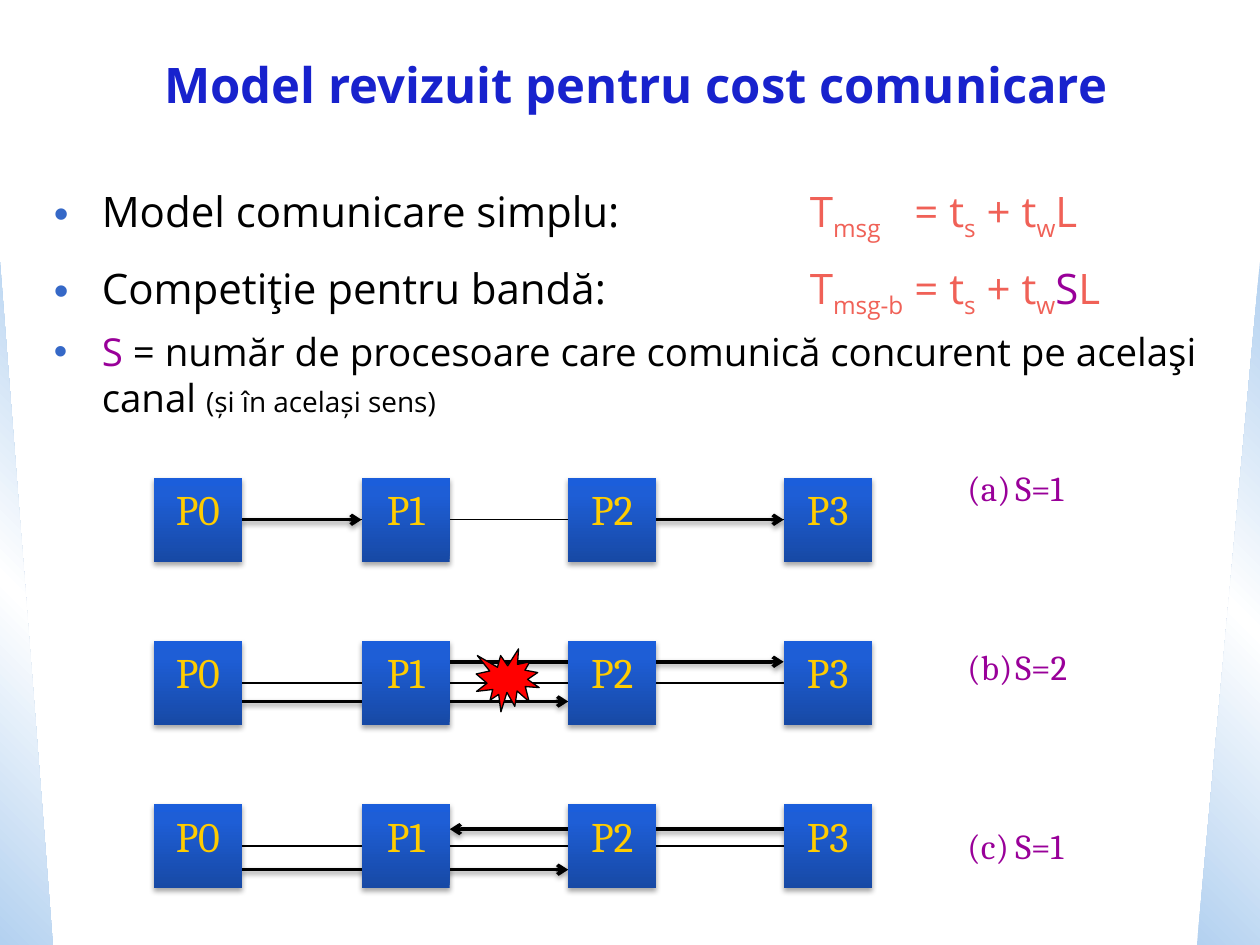
"""Build the slide on the revised communication cost model."""
from dataclasses import dataclass
from typing import Any

from pptx import Presentation
from pptx.dml.color import RGBColor
from pptx.enum.shapes import MSO_CONNECTOR, MSO_SHAPE
from pptx.enum.text import MSO_ANCHOR, PP_ALIGN
from pptx.oxml import parse_xml
from pptx.oxml.ns import nsdecls, qn
from pptx.util import Inches, Pt

COLORS = {
    "title": "1822CD", "black": "000000", "formula": "F06157", "share": "990099",
    "bullet": "3568C7", "node_text": "FFCC00", "burst": "FF0000",
}
NODE_STOPS = ((0, "1749A5"), (80, "1E5ED6"), (100, "1B5EDB"))
EDGE_STOPS = ((0, "B3D1F0"), (50, "FFFFFF"), (100, "B3D1F0"))
BODY_FONT, DIAGRAM_FONT = "Open Sans", "Cambria"
COLUMN_LEFTS = (1.22, 2.87, 4.51, 6.22)
NODE_WIDTH, NODE_HEIGHT = 0.7, 0.67
FIRST_ROW, ROW_PITCH, ROW_COUNT = 3.79, 1.295, 3
HANGING = 0.38


@dataclass(frozen=True)
class Piece:
    text: str
    color: str = "black"
    size: float = 24
    subscript: bool = False
    font: str = BODY_FONT
    bold: bool = False


@dataclass(frozen=True)
class Line:
    pieces: tuple[Piece, ...]
    format: dict[str, Any]
    bullet: str = ""
    tabs: tuple[float, ...] = ()


@dataclass(frozen=True)
class Message:
    row: int
    source: int
    target: int
    height_share: float


def formula(*parts: str) -> tuple[Piece, ...]:
    """Alternate normal and subscript pieces in the formula colour."""
    return tuple(Piece(part, "formula", subscript=index % 2 == 1) for index, part in enumerate(parts))


def character_bullet() -> str:
    """Return the markup of a round bullet."""
    return (f'<a:buClr {nsdecls("a")}><a:srgbClr val="{COLORS["bullet"]}"/></a:buClr>'
            f'|<a:buFont {nsdecls("a")} typeface="Arial"/>|<a:buChar {nsdecls("a")} char="•"/>')


LETTER_BULLET = f'<a:buAutoNum {nsdecls("a")} type="alphaLcParenBoth"/>'
TITLE = (Line((Piece("Model revizuit pentru cost comunicare", "title", 28, bold=True),),
              {"alignment": PP_ALIGN.CENTER}),)
BODY = (
    Line((Piece("Model comunicare simplu:\t"), *formula("T", "msg", "\t= t", "s", " + t", "w", "L")),
         {"line_spacing": 1.2}, character_bullet(), (6, 6.83)),
    Line((Piece("Competiţie pentru bandă:\t"), *formula("T", "msg-b", " = t", "s", " + t", "w"),
          Piece("S", "share"), Piece("L", "formula")),
         {"line_spacing": 1.2, "space_before": Pt(4.8)}, character_bullet(), (6,)),
    Line((Piece("S", "share", 22),
          Piece(" = număr de procesoare care comunică concurent pe acelaşi canal ", size=22),
          Piece("(și în același sens)", size=16)),
         {"space_before": Pt(4.8)}, character_bullet()),
)
CASES = tuple(
    Line((Piece(text, "share", 20, font=DIAGRAM_FONT),), {"space_before": Pt(gap)}, LETTER_BULLET)
    for text, gap in (("S=1", 0), ("S=2", 78.5), ("S=1", 78.5))
)
MESSAGES = (
    Message(0, 0, 1, 0.5), Message(0, 2, 3, 0.5),
    Message(1, 1, 3, 0.25), Message(1, 0, 2, 0.72),
    Message(2, 3, 1, 0.3), Message(2, 0, 2, 0.78),
)


def apply_format(target: Any, values: dict[str, Any]) -> None:
    """Set every attribute named in the format values."""
    for name, value in values.items():
        setattr(target, name, value)


def write_line(paragraph: Any, line: Line) -> None:
    """Write one paragraph with its bullet, tabs and runs."""
    properties = paragraph._p.get_or_add_pPr()
    if line.bullet:
        properties.set("marL", str(Inches(HANGING)))
        properties.set("indent", str(-Inches(HANGING)))
        for markup in line.bullet.split("|"):
            properties.append(parse_xml(markup))
    if line.tabs:
        stops = "".join(f'<a:tab pos="{Inches(stop)}" algn="l"/>' for stop in line.tabs)
        properties.append(parse_xml(f'<a:tabLst {nsdecls("a")}>{stops}</a:tabLst>'))
    apply_format(paragraph, line.format)
    for piece in line.pieces:
        run = paragraph.add_run()
        run.text = piece.text
        apply_format(run.font, {"name": piece.font, "size": Pt(piece.size), "bold": piece.bold})
        run.font.color.rgb = RGBColor.from_string(COLORS[piece.color])
        if piece.subscript:
            run._r.get_or_add_rPr().set("baseline", "-25000")


def write_lines(frame: Any, lines: tuple[Line, ...], anchor: Any = MSO_ANCHOR.TOP) -> None:
    """Fill a text frame with lines."""
    apply_format(frame, {"word_wrap": True, "vertical_anchor": anchor})
    for index, line in enumerate(lines):
        write_line(frame.add_paragraph() if index else frame.paragraphs[0], line)


def add_text(slide: Any, box: tuple[float, ...], lines: tuple[Line, ...], anchor: Any = MSO_ANCHOR.TOP) -> None:
    """Add a text box holding the lines."""
    write_lines(slide.shapes.add_textbox(*map(Inches, box)).text_frame, lines, anchor)


def add_effects(shape: Any, opacity: int = 0, distance: float = 0) -> None:
    """Add an effect list, with a downward shadow when opacity is given."""
    shadow = (f'<a:outerShdw blurRad="{Pt(3.1)}" dist="{Pt(distance)}" dir="5400000" rotWithShape="0">'
              f'<a:srgbClr val="000000"><a:alpha val="{opacity * 1000}"/></a:srgbClr></a:outerShdw>')
    content = shadow if opacity else ""
    shape._element.spPr.append(parse_xml(f'<a:effectLst {nsdecls("a")}>{content}</a:effectLst>'))


def add_gradient_shape(slide: Any, kind: Any, box: tuple[float, ...], stops: tuple, angle: int) -> Any:
    """Add a shape without outline, filled with a linear gradient."""
    shape = slide.shapes.add_shape(kind, *map(Inches, box))
    shape.fill.background()
    shape.line.fill.background()
    marks = "".join(f'<a:gs pos="{position * 1000}"><a:srgbClr val="{color}"/></a:gs>'
                    for position, color in stops)
    properties = shape._element.spPr
    properties.replace(properties.find(qn("a:noFill")), parse_xml(
        f'<a:gradFill {nsdecls("a")} rotWithShape="1"><a:gsLst>{marks}</a:gsLst>'
        f'<a:lin ang="{angle * 60000}" scaled="0"/></a:gradFill>'))
    return shape


def add_link(slide: Any, message: Message, arrow: bool) -> None:
    """Connect the facing sides of two nodes in a row."""
    forward = message.source < message.target
    start = COLUMN_LEFTS[message.source] + NODE_WIDTH * forward
    end = COLUMN_LEFTS[message.target] + NODE_WIDTH * (not forward)
    height = FIRST_ROW + message.row * ROW_PITCH + message.height_share * NODE_HEIGHT
    link = slide.shapes.add_connector(MSO_CONNECTOR.STRAIGHT, *map(Inches, (start, height, end, height)))
    link.line.color.rgb = RGBColor.from_string(COLORS["black"])
    link.line.width = Pt(2 if arrow else 0.75)
    if arrow:
        link._element.spPr.find(qn("a:ln")).append(parse_xml(f'<a:tailEnd {nsdecls("a")} type="arrow"/>'))
    add_effects(link, 38 if arrow else 0, 1.6)


def add_node(slide: Any, row: int, column: int) -> None:
    """Add one processor node at its grid place."""
    box = (COLUMN_LEFTS[column], FIRST_ROW + row * ROW_PITCH, NODE_WIDTH, NODE_HEIGHT)
    node = add_gradient_shape(slide, MSO_SHAPE.RECTANGLE, box, NODE_STOPS, 270)
    add_effects(node, 35, 1.8)
    label = Piece(f"P{column}", "node_text", font=DIAGRAM_FONT)
    write_lines(node.text_frame, (Line((label,), {"alignment": PP_ALIGN.CENTER}),))


def main() -> None:
    """Build and save the presentation."""
    presentation = Presentation()
    apply_format(presentation, {"slide_width": Inches(10), "slide_height": Inches(7.5)})
    slide = presentation.slides.add_slide(presentation.slide_layouts[6])
    for left, width, angle in ((0, 0.42, 315), (9.5, 0.5, 45)):
        edge = add_gradient_shape(slide, MSO_SHAPE.RIGHT_TRIANGLE, (left, 2.08, width, 5.42), EDGE_STOPS, angle)
        edge.shadow.inherit = False
        if left:
            edge._element.spPr.find(qn("a:xfrm")).set("flipH", "1")
    add_text(slide, (0.17, 0.08, 9.75, 1.17), TITLE, MSO_ANCHOR.MIDDLE)
    add_text(slide, (0.33, 1.33, 9.5, 2.13), BODY)
    add_text(slide, (7.58, 3.65, 1.75, 3.3), CASES)
    for message in MESSAGES:
        add_link(slide, message, True)
    for row in range(ROW_COUNT):
        for column in range(len(COLUMN_LEFTS)):
            add_node(slide, row, column)
        for column in range(len(COLUMN_LEFTS) - 1):
            add_link(slide, Message(row, column, column + 1, 0.5), False)
    burst = slide.shapes.add_shape(MSO_SHAPE.EXPLOSION1, *map(Inches, (3.78, 5.15, 0.5, 0.5)))
    burst.shadow.inherit = False
    burst.fill.solid()
    burst.fill.fore_color.rgb = RGBColor.from_string(COLORS["burst"])
    burst.line.color.rgb = RGBColor.from_string(COLORS["black"])
    burst.line.width = Pt(0.75)
    presentation.save("out.pptx")


if __name__ == "__main__":
    main()
